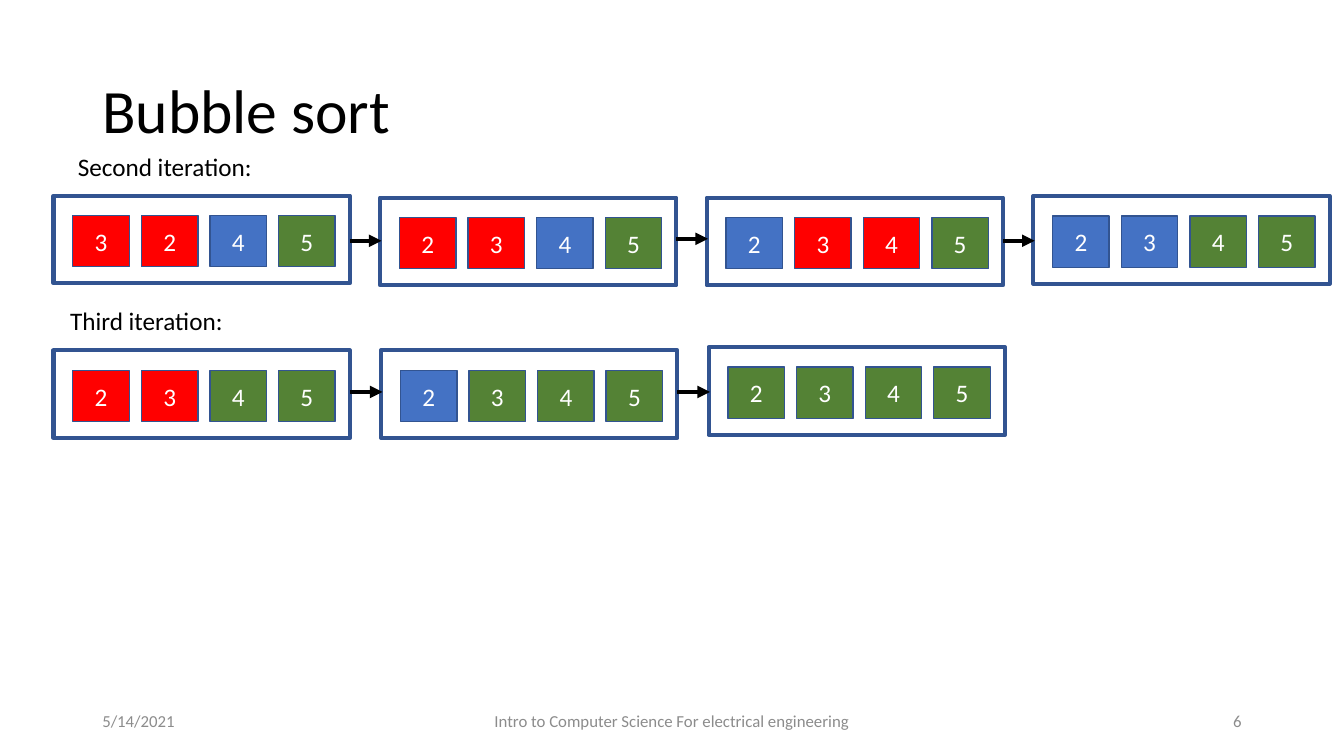
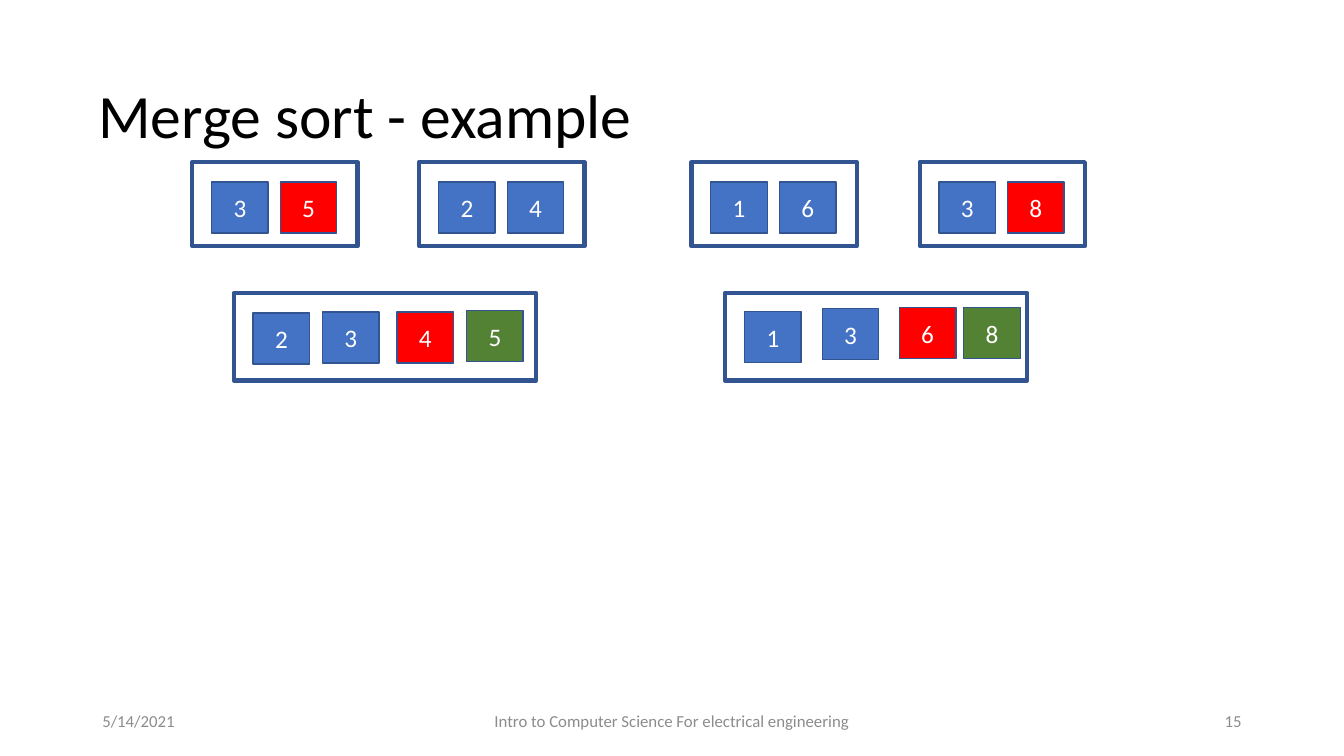
from lxml.etree import SubElement
from pptx import Presentation
from pptx.dml.color import RGBColor
from pptx.enum.shapes import MSO_CONNECTOR, MSO_SHAPE
from pptx.enum.text import MSO_ANCHOR, PP_ALIGN
from pptx.oxml.ns import qn
from pptx.util import Pt

FONT = "Calibri"
COLOURS = {
    "text": "000000", "footer": "8C8C8C", "digit": "FFFFFF", "outline": "325491",
    "red": "FF0000", "blue": "4472C4", "green": "548235",
}
CELL_FILLS = {"r": "red", "b": "blue", "g": "green"}

DATE = "5/14/2021"
COURSE = "Intro to Computer Science For electrical engineering"

# Each cell is its number followed by the initial of its colour.
BUBBLE = {
    "title": ("Bubble sort", 66, 29),
    "number": "6",
    "iterations": [
        {"label": ("Second iteration:", 48.5, 104.5, 140),
         "steps": [(38.2, 139.8, "3r 2r 4b 5g"), (271.5, 141.2, "2r 3r 4b 5g"),
                   (504.8, 141.2, "2b 3r 4r 5g"), (738.1, 140.1, "2b 3b 4g 5g")],
         "arrow_tops": [172, 170.6, 172]},
        {"label": ("Third iteration:", 43, 214.8, 125),
         "steps": [(38.2, 250.3, "2r 3r 4g 5g"), (272.2, 250.3, "2b 3g 4g 5g"),
                   (506.2, 248, "2g 3g 4g 5g")],
         "arrow_tops": [280, 280]},
    ],
}
PAIR_TOP, MERGED_TOP = 115.8, 209.3
MERGE = {
    "title": ("Merge sort - example", 63, 32.5),
    "number": "15",
    "pairs": [(137.4, "3b 5r"), (299.5, "2b 4b"), (493.9, "1b 6b"), (656.9, "3b 8r")],
    # Merged cells are placed one by one, as offsets from their box.
    "merged": [
        (167, "2b 3b 4r 5g", [(13.8, 14.2), (63.4, 13.5), (116.6, 13.5), (166.3, 12.5)]),
        (517.9, "1b 3b 6r 8g", [(14, 13.2), (69.4, 11), (124.5, 10.4), (170.5, 10.4)]),
    ],
}

BOX_SIZE, PAIR_SIZE, MERGED_SIZE = (211.7, 62.6), (118, 60), (216, 62.6)
CELL_WIDTH, CELL_HEIGHT, CELL_PITCH = 40.4, 36.6, 49
CELL_INSET = (13.8, 14.2)


def colour(name):
    return RGBColor.from_string(COLOURS[name])


def write(frame, words, size, ink, align=PP_ALIGN.LEFT):
    paragraph = frame.paragraphs[0]
    paragraph.alignment = align
    run = paragraph.add_run()
    run.text = words
    run.font.size, run.font.name = Pt(size), FONT
    run.font.color.rgb = colour(ink)
    return paragraph


def add_text(slide, words, left, top, width, height, size, ink="text",
             align=PP_ALIGN.LEFT, anchor=MSO_ANCHOR.MIDDLE, wrap=True):
    frame = slide.shapes.add_textbox(Pt(left), Pt(top), Pt(width), Pt(height)).text_frame
    frame.word_wrap, frame.vertical_anchor = wrap, anchor
    return write(frame, words, size, ink, align)


def add_box(shapes, left, top, width, height, line_width, fill=None):
    box = shapes.add_shape(MSO_SHAPE.RECTANGLE, Pt(left), Pt(top), Pt(width), Pt(height))
    box.shadow.inherit = False
    if fill:
        box.fill.solid()
        box.fill.fore_color.rgb = colour(fill)
    else:
        box.fill.background()
    box.line.color.rgb = colour("outline")
    box.line.width = Pt(line_width)
    return box


def add_array(slide, left, top, size, cells, offsets=None):
    """Draw a framed row of numbered cells as one group."""
    shapes = slide.shapes.add_group_shape().shapes
    add_box(shapes, left, top, *size, 3)
    for index, (digit, state) in enumerate(cells.split()):
        dx, dy = offsets[index] if offsets else (
            CELL_INSET[0] + index * CELL_PITCH, CELL_INSET[1])
        cell = add_box(shapes, left + dx, top + dy, CELL_WIDTH, CELL_HEIGHT, 1,
                       CELL_FILLS[state])
        cell.text_frame.vertical_anchor = MSO_ANCHOR.MIDDLE
        write(cell.text_frame, digit, 18, "digit", PP_ALIGN.CENTER)


def add_arrow(slide, start, end, top):
    arrow = slide.shapes.add_connector(
        MSO_CONNECTOR.STRAIGHT, Pt(start), Pt(top), Pt(end), Pt(top))
    arrow.line.color.rgb = colour("text")
    arrow.line.width = Pt(3)
    SubElement(arrow.line._get_or_add_ln(), qn("a:tailEnd"), type="triangle")
    SubElement(arrow._element.spPr, qn("a:effectLst"))


def add_slide(deck, content):
    """Add a slide with the shared title and footers."""
    slide = deck.slides.add_slide(deck.slide_layouts[6])
    title, left, top = content["title"]
    add_text(slide, title, left, top, 828, 104.4, 44).line_spacing = 0.9
    for words, left, width, align in [
        (DATE, 66, 216, PP_ALIGN.LEFT),
        (COURSE, 318, 324, PP_ALIGN.CENTER),
        (content["number"], 678, 216, PP_ALIGN.RIGHT),
    ]:
        add_text(slide, words, left, 500.5, width, 28.8, 12, "footer", align)
    return slide


def draw_bubble_sort(deck):
    slide = add_slide(deck, BUBBLE)
    for iteration in BUBBLE["iterations"]:
        label, left, top, width = iteration["label"]
        add_text(slide, label, left, top, width, 29, 18,
                 anchor=MSO_ANCHOR.TOP, wrap=False)
        steps = iteration["steps"]
        for left, top, cells in steps:
            add_array(slide, left, top, BOX_SIZE, cells)
        for step, following, top in zip(steps, steps[1:], iteration["arrow_tops"]):
            add_arrow(slide, step[0] + BOX_SIZE[0], following[0] + 1, top)


def draw_merge_sort(deck):
    slide = add_slide(deck, MERGE)
    for left, cells in MERGE["pairs"]:
        add_array(slide, left, PAIR_TOP, PAIR_SIZE, cells)
    for left, cells, offsets in MERGE["merged"]:
        add_array(slide, left, MERGED_TOP, MERGED_SIZE, cells, offsets)


def main():
    deck = Presentation()
    deck.slide_width, deck.slide_height = Pt(960), Pt(540)
    draw_bubble_sort(deck)
    draw_merge_sort(deck)
    deck.save("out.pptx")


if __name__ == "__main__":
    main()
